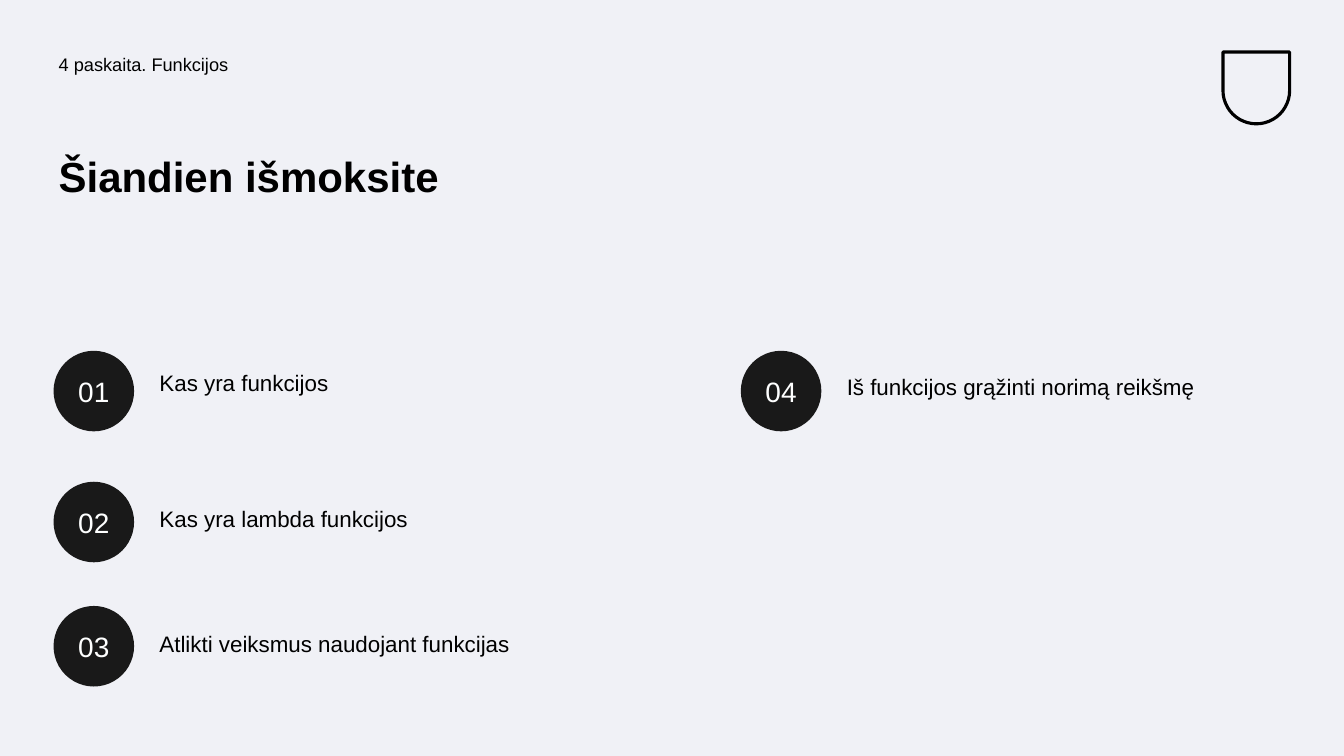
"""Builds the lecture slide listing what will be learned about functions."""
import pptx
import pptx.util
import pptx.dml.color
import pptx.enum.shapes
import pptx.enum.text

Cm, Pt = pptx.util.Cm, pptx.util.Pt
RGB = pptx.dml.color.RGBColor.from_string
SHAPES = pptx.enum.shapes.MSO_SHAPE
COLORS = {"background": "F0F1F6", "ink": "000000", "circle": "191919", "number": "FEFFFF"}

lecture = pptx.Presentation()
lecture.slide_width, lecture.slide_height = Cm(33.87), Cm(19.05)
slide = lecture.slides.add_slide(lecture.slide_layouts[6])
slide.background.fill.solid()
slide.background.fill.fore_color.rgb = RGB(COLORS["background"])


def write(frame, text, size, color, bold=False):
    """Fills a text frame with one Arial paragraph and returns it."""
    frame.word_wrap = True
    frame.margin_left = frame.margin_right = Cm(0.13)
    frame.margin_top = frame.margin_bottom = Cm(0.13)
    line = frame.paragraphs[0]
    line.text = text
    line.font.name = "Arial"
    line.font.size = Pt(size)
    line.font.bold = bold
    line.font.color.rgb = RGB(COLORS[color])
    return line


def add_label(left, top, width, height, text, size, before=10, bold=False):
    """Adds a left-aligned text box."""
    label = slide.shapes.add_textbox(Cm(left), Cm(top), Cm(width), Cm(height))
    line = write(label.text_frame, text, size, "ink", bold)
    line.line_spacing = 0.9
    line.space_before = Pt(before)


emblem = slide.shapes.add_shape(
    SHAPES.ROUND_2_SAME_RECTANGLE, Cm(30.82), Cm(1.31), Cm(1.68), Cm(1.81))
emblem.adjustments[0] = 0.5
emblem.rotation = 180
emblem.shadow.inherit = False
emblem.fill.background()
emblem.line.color.rgb = RGB(COLORS["ink"])
emblem.line.width = Pt(2.25)

add_label(1.35, 1.27, 15.6, 1.27, "4 paskaita. Funkcijos", 13)
add_label(1.35, 3.81, 14.33, 3.78, "Šiandien išmoksite", 30, before=0, bold=True)

TOPICS = [
    (1.35, 8.84, 9.25, "Kas yra funkcijos"),
    (1.35, 12.14, 12.67, "Kas yra lambda funkcijos"),
    (1.35, 15.27, 15.82, "Atlikti veiksmus naudojant funkcijas"),
    (18.67, 8.84, 9.35, "Iš funkcijos grąžinti norimą reikšmę"),
]
for number, (left, circle_top, topic_top, topic) in enumerate(TOPICS, 1):
    circle = slide.shapes.add_shape(
        SHAPES.OVAL, Cm(left), Cm(circle_top), Cm(2.03), Cm(2.03))
    circle.shadow.inherit = False
    circle.fill.solid()
    circle.fill.fore_color.rgb = RGB(COLORS["circle"])
    circle.line.fill.background()
    circle.text_frame.vertical_anchor = pptx.enum.text.MSO_ANCHOR.MIDDLE
    line = write(circle.text_frame, f"{number:02}", 20, "number")
    line.alignment = pptx.enum.text.PP_ALIGN.CENTER
    add_label(left + 2.54, topic_top, 12.1, 0.95, topic, 16)

lecture.save("out.pptx")
